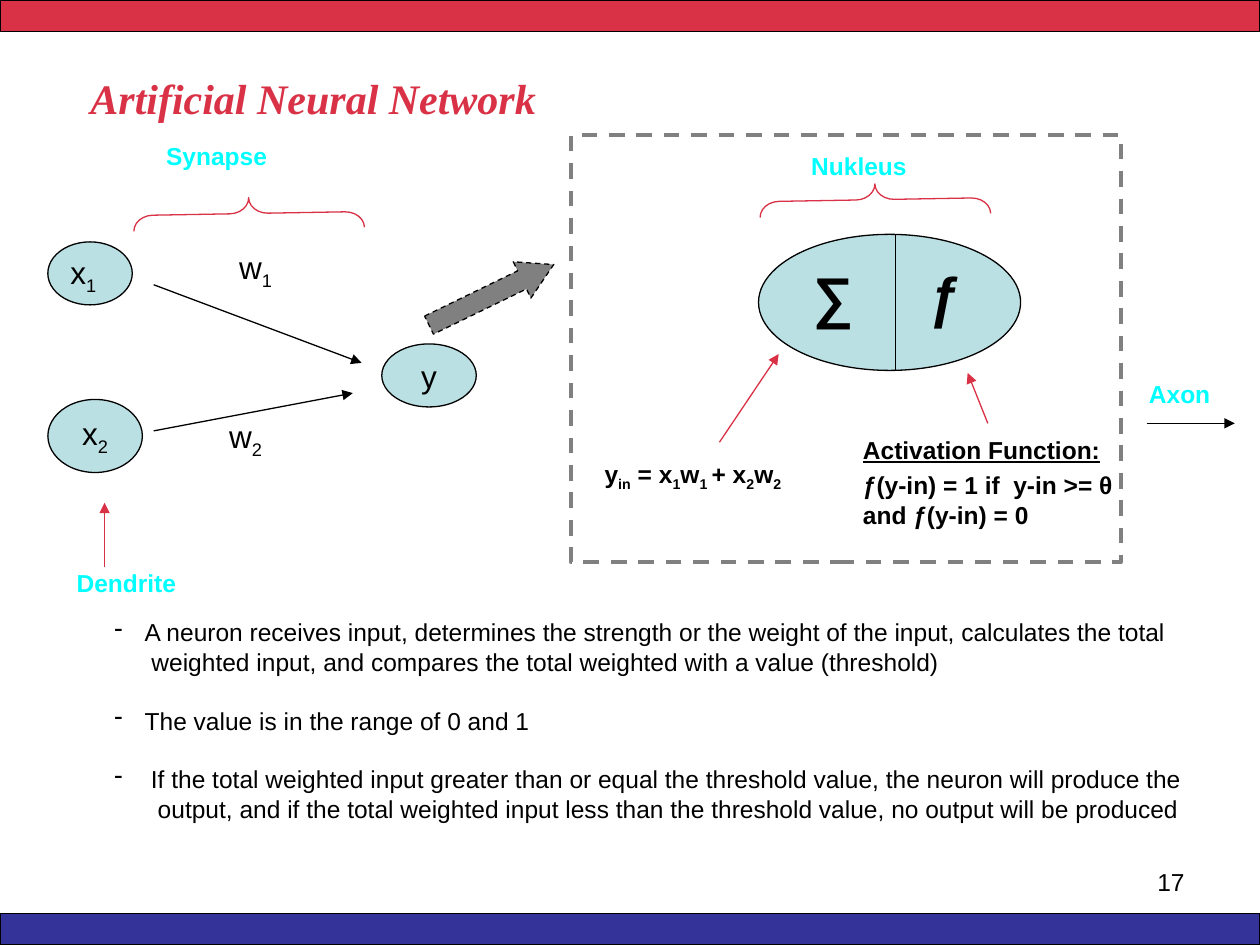
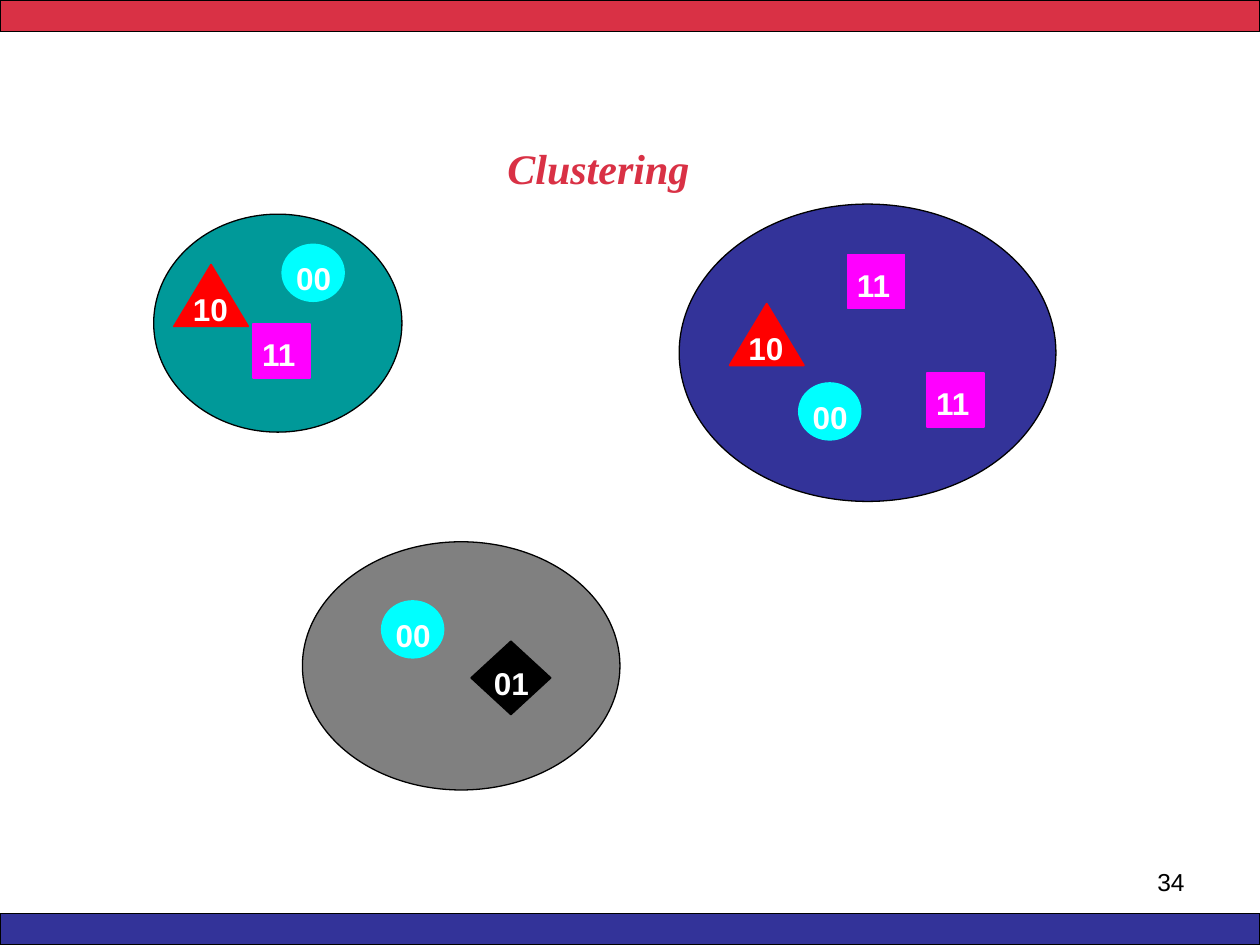
from dataclasses import dataclass, field

from lxml.etree import SubElement
from pptx import Presentation
from pptx.dml.color import RGBColor
from pptx.enum.dml import MSO_LINE
from pptx.enum.shapes import MSO_CONNECTOR, MSO_SHAPE as Preset
from pptx.enum.text import MSO_ANCHOR as Anchor, PP_ALIGN as Align
from pptx.oxml.ns import qn
from pptx.util import Emu, Pt

EMU_PER_PX = 9144  # 100 px to the inch
WIDTH, HEIGHT = 1000, 750
BAND_HEIGHT = 25


def px(length):
    return Emu(length * EMU_PER_PX)


def text_style(size, color="black", font="Arial", **flags):
    return {"color": color, "font": {"name": font, "size": Pt(size), **flags}}


@dataclass
class Theme:
    colors: dict = field(default_factory=lambda: {
        "black": "000000", "white": "FFFFFF", "red": "D93145", "navy": "333399",
        "pale": "BBE0E3", "cyan": "00FFFF", "grey": "808080", "teal": "009999",
        "magenta": "FF00FF", "bright red": "FF0000",
    })
    styles: dict = field(default_factory=lambda: {
        "title": text_style(24, "red", "Times New Roman", bold=True, italic=True),
        "body": text_style(14),
        "part": text_style(14, "cyan", bold=True),
        "formula": text_style(14, bold=True),
        "heading": text_style(14, bold=True, underline=True),
        "node": text_style(18),
        "sum": text_style(32, bold=True),
        "function": text_style(32, bold=True, italic=True),
        "pattern": text_style(18, "white", bold=True),
    })

    def rgb(self, color):
        return RGBColor.from_string(self.colors[color])


class Deck:
    def __init__(self, theme):
        self.theme = theme
        self.file = Presentation()
        self.file.slide_width, self.file.slide_height = px(WIDTH), px(HEIGHT)
        self.slide = None

    def new_slide(self, number):
        """Start a slide with both bands and its page number."""
        self.slide = self.file.slides.add_slide(self.file.slide_layouts[6])
        for top, color in ((0, "red"), (HEIGHT - BAND_HEIGHT, "navy")):
            self.shape(Preset.RECTANGLE, (0, top, WIDTH, BAND_HEIGHT), color)
        self.text((717, 683, 233, 52), str(number), align=Align.RIGHT)

    def outline(self, line, color, weight, dashed=False):
        if color is None:
            line.fill.background()
            return
        line.color.rgb = self.theme.rgb(color)
        line.width = Pt(weight)
        if dashed:
            line.dash_style = MSO_LINE.DASH

    def shape(self, preset, box, fill=None, line="black", weight=0.75,
              dashed=False, rotation=0, adjustments=()):
        shape = self.slide.shapes.add_shape(preset, *map(px, box))
        shape.shadow.inherit = False
        shape.rotation = rotation
        for index, value in enumerate(adjustments):
            shape.adjustments[index] = value
        if fill:
            shape.fill.solid()
            shape.fill.fore_color.rgb = self.theme.rgb(fill)
        else:
            shape.fill.background()
        self.outline(shape.line, line, weight, dashed)
        return shape

    def line(self, start, end, color="black", arrow=True):
        line = self.slide.shapes.add_connector(
            MSO_CONNECTOR.STRAIGHT, *map(px, (*start, *end)))
        self.outline(line.line, color, 0.75)
        if arrow:
            SubElement(line.line._get_or_add_ln(), qn("a:tailEnd"), type="triangle")
        SubElement(line._element.spPr, qn("a:effectLst"))

    def paragraph(self, paragraph, content, style="body", align=Align.LEFT, before=0):
        """Fill a paragraph; parts between underscores become subscripts."""
        paragraph.alignment = align
        paragraph.space_before = Pt(before)
        look = self.theme.styles[style]
        for row, text_line in enumerate(content.split("\n")):
            if row:
                paragraph.add_line_break()
            for index, part in enumerate(text_line.split("_")):
                if not part:
                    continue
                run = paragraph.add_run()
                run.text = part
                for name, value in look["font"].items():
                    setattr(run.font, name, value)
                run.font.color.rgb = self.theme.rgb(look["color"])
                if index % 2:
                    run.font._element.set("baseline", "-25000")

    def text(self, box, content, style="body", align=Align.LEFT,
             anchor=Anchor.TOP, inset=(10, 5), wrap=True):
        frame = self.slide.shapes.add_textbox(*map(px, box)).text_frame
        side, edge = map(px, inset)
        settings = {"word_wrap": wrap, "vertical_anchor": anchor,
                    "margin_left": side, "margin_right": side,
                    "margin_top": edge, "margin_bottom": edge}
        for name, value in settings.items():
            setattr(frame, name, value)
        self.paragraph(frame.paragraphs[0], content, style, align)
        return frame

    def neuron(self, box, label=None):
        neuron = self.shape(Preset.OVAL, box, "pale")
        if label:
            frame = neuron.text_frame
            frame.word_wrap = False
            frame.vertical_anchor = Anchor.MIDDLE
            self.paragraph(frame.paragraphs[0], label, "node", Align.CENTER)

    def brace(self, box):
        """Brace with its tip up; the box is given before the turn."""
        self.shape(Preset.LEFT_BRACE, box, line="red", rotation=89, adjustments=(0.61,))

    def dashes(self, box, items, gap):
        """Dash list of (left margin, content) items."""
        dash_left = 81
        frame = self.text(box, items[0][1])
        for index, (margin, content) in enumerate(items):
            paragraph = frame.paragraphs[0]
            if index:
                paragraph = frame.add_paragraph()
                self.paragraph(paragraph, content, before=gap)
            properties = paragraph._p.get_or_add_pPr()
            properties.set("marL", str(px(margin)))
            properties.set("indent", str(px(dash_left - margin)))
            SubElement(properties, qn("a:buChar"), char="-")

    def pattern(self, code, left, top):
        preset, color, size, shift = PATTERNS[code]
        self.shape(preset, (left, top, *size), color, color, 1)
        self.text((left + shift[0], top + shift[1], 28, 30), code, "pattern",
                  inset=(0, 0), wrap=False)


# code: outline, colour, size, offset of the code inside
PATTERNS = {
    "00": (Preset.OVAL, "cyan", (49, 45), (11, 12)),
    "01": (Preset.DIAMOND, "black", (63, 58), (18, 18)),
    "10": (Preset.ISOSCELES_TRIANGLE, "bright red", (59, 49), (15, 20)),
    "11": (Preset.RECTANGLE, "magenta", (45, 43), (7, 9)),
}

CLUSTERS = [
    ("teal", (122, 170, 197, 173),
     [("00", 224, 194), ("11", 201, 257), ("10", 138, 210)]),
    ("grey", (240, 430, 252, 197), [("01", 374, 509), ("00", 303, 477)]),
    ("navy", (539, 162, 299, 236),
     [("11", 673, 202), ("10", 579, 241), ("11", 736, 296), ("00", 634, 304)]),
]

EXPLANATION = [
    (105, "A neuron receives input, determines the strength or the weight of the input, "
          "calculates the total\n weighted input, and compares the total weighted with "
          "a value (threshold)"),
    (105, "The value is in the range of 0 and 1"),
    (110, "If the total weighted input greater than or equal the threshold value, the "
          "neuron will produce the\n output, and if the total weighted input less than "
          "the threshold value, no output will be produced"),
]


def neural_network(deck):
    deck.new_slide(17)
    deck.text((62, 53, 400, 50), "Artificial Neural Network", "title")

    deck.neuron((38, 192, 67, 50))
    deck.text((46, 196, 50, 44), "x_1_", "node")
    deck.neuron((38, 317, 75, 58), "x_2_")
    deck.neuron((303, 273, 75, 50), "y")
    deck.line((122, 226), (287, 288))
    deck.line((122, 342), (280, 312))
    deck.text((180, 192, 100, 44), "w_1_", "node")
    deck.text((172, 326, 67, 44), "w_2_", "node")
    deck.shape(Preset.RIGHT_ARROW, (335, 218, 110, 32), "grey", dashed=True,
               rotation=334.1, adjustments=(0.5, 0.872))

    deck.shape(Preset.RECTANGLE, (453, 107, 437, 339), line="grey", weight=2.25, dashed=True)
    nucleus_top, nucleus_height, divider = 186, 108, 711
    deck.neuron((602, nucleus_top, 208, nucleus_height))
    deck.line((divider, nucleus_top), (divider, nucleus_top + nucleus_height), arrow=False)
    deck.text((636, 203, 50, 64), "∑", "sum")
    deck.text((727, 203, 50, 64), "ƒ", "function")
    deck.text((470, 359, 180, 63), "y_in_ = x_1_w_1 _+ x_2_w_2_", "formula")
    activation = deck.text((675, 340, 275, 109), "Activation Function:", "heading")
    deck.paragraph(activation.add_paragraph(),
                   "ƒ(y-in) = 1 if  y-in >= θ\nand ƒ(y-in) = 0", "formula", before=3.5)
    deck.line((784, 336), (768, 296), "red")
    deck.line((571, 351), (618, 281), "red")

    for brace_left, brace_top in ((185, 78), (682, 67)):
        deck.brace((brace_left, brace_top, 25, 183))
    for name, left, top, width in (("Synapse", 122, 107, 150), ("Nukleus", 634, 115, 150),
                                   ("Dendrite", 51, 446, 150), ("Axon", 902, 296, 98)):
        deck.text((left, top, width, 34), name, "part")
    deck.line((83, 450), (83, 399), "red")
    deck.line((910, 336), (980, 336))

    deck.dashes((0, 485, 980, 190), EXPLANATION, gap=16.8)


def clustering(deck):
    deck.new_slide(34)
    deck.text((350, 108, 250, 50), "Clustering", "title", Align.CENTER, Anchor.MIDDLE)
    for color, box, members in CLUSTERS:
        deck.shape(Preset.OVAL, box, color)
        for member in members:
            deck.pattern(*member)


def main():
    deck = Deck(Theme())
    neural_network(deck)
    clustering(deck)
    deck.file.save("out.pptx")


if __name__ == "__main__":
    main()
